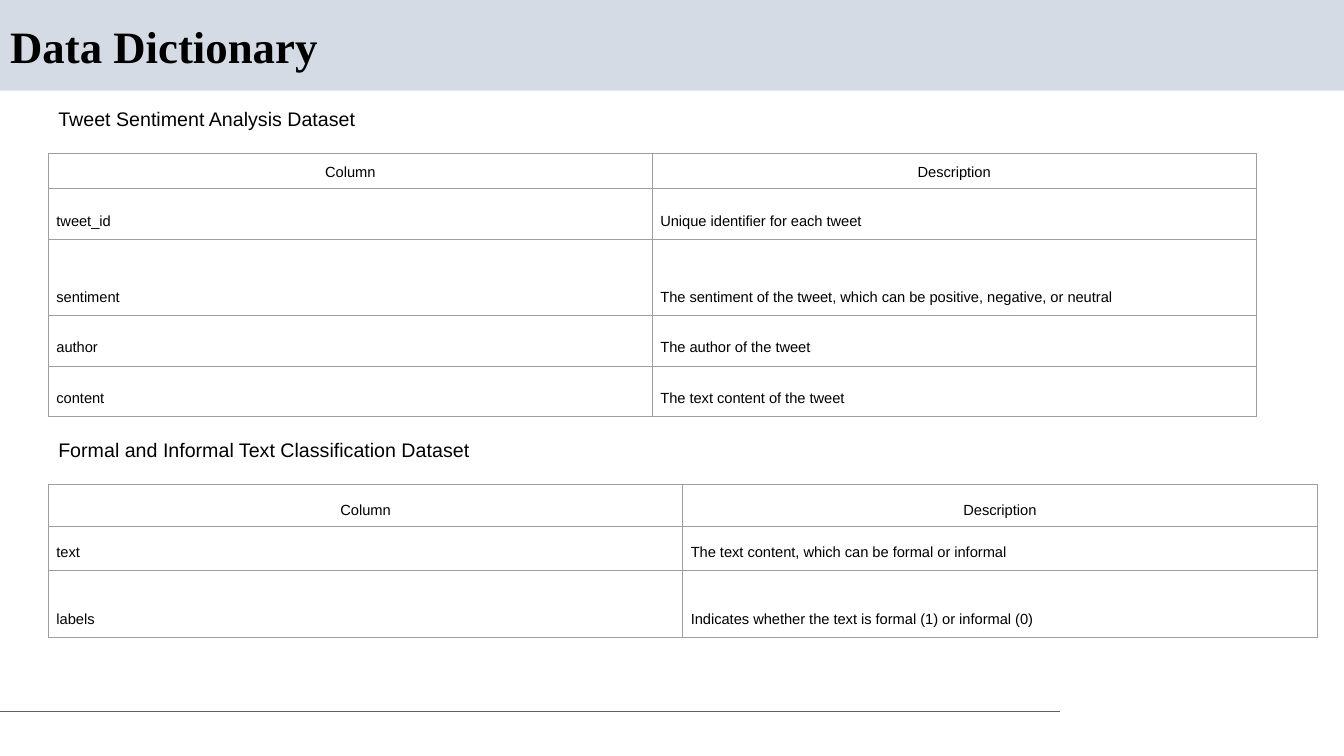
from dataclasses import dataclass

from lxml import etree
from pptx import Presentation
from pptx import util as u
from pptx.dml.color import RGBColor
from pptx.enum import shapes, text
from pptx.oxml import ns


@dataclass(frozen=True)
class Theme:
    ink: str = "000000"
    band: str = "D5DBE5"
    rule: str = "606060"
    edge: str = "9E9E9E"
    serif: str = "Times New Roman"
    sans: str = "Arial"
    head: float = 32
    label: float = 14
    cell: float = 10.5
    line: float = 0.75


class Deck:
    """Draws styled elements on one slide, placed on a 100 by 100 grid."""

    def __init__(self, theme):
        self.theme = theme
        self.file = Presentation()
        self.file.slide_width = u.Inches(13.33)
        self.file.slide_height = u.Inches(7.5)
        self.page = self.file.slides.add_slide(self.file.slide_layouts[5])

    def col(self, count):
        return round(self.file.slide_width * count / 100)

    def row(self, count):
        return round(self.file.slide_height * count / 100)

    def box(self, x, y, w, h):
        return self.col(x), self.row(y), self.col(w), self.row(h)

    def style(self, para, words, size, face, bold=False):
        para.text = words
        para.font.size = u.Pt(size)
        para.font.name = face
        para.font.bold = bold
        para.font.color.rgb = RGBColor.from_string(self.theme.ink)

    def band(self, x, y, w, h):
        bar = self.page.shapes.add_shape(
            shapes.MSO_SHAPE.RECTANGLE, *self.box(x, y, w, h))
        bar.shadow.inherit = False
        bar.fill.solid()
        bar.fill.fore_color.rgb = RGBColor.from_string(self.theme.band)
        bar.line.fill.background()

    def rule(self, x, y, end):
        line = self.page.shapes.add_connector(
            shapes.MSO_CONNECTOR.STRAIGHT,
            self.col(x), self.row(y), self.col(end), self.row(y))
        line.line.color.rgb = RGBColor.from_string(self.theme.rule)
        line.line.width = u.Pt(self.theme.line)
        etree.SubElement(line.element.spPr, ns.qn("a:effectLst"))

    def title(self, words, x, y, w, h):
        head = self.page.shapes.title
        head.left, head.top, head.width, head.height = self.box(x, y, w, h)
        head.element.getparent().append(head.element)
        frame = head.text_frame
        frame.word_wrap = True
        frame.auto_size = text.MSO_AUTO_SIZE.SHAPE_TO_FIT_TEXT
        frame.vertical_anchor = text.MSO_ANCHOR.MIDDLE
        para = frame.paragraphs[0]
        para.alignment = text.PP_ALIGN.LEFT
        para.line_spacing = 0.9
        self.style(para, words, self.theme.head, self.theme.serif, True)

    def label(self, words, x, y, w, h):
        frame = self.page.shapes.add_textbox(*self.box(x, y, w, h)).text_frame
        frame.word_wrap = True
        self.style(frame.paragraphs[0], words,
                   self.theme.label, self.theme.sans)

    def table(self, data, x, y, w, rows):
        grid = self.page.shapes.add_table(
            len(data), len(data[0]), *self.box(x, y, w, sum(rows))).table
        grid.first_row = grid.horz_banding = False
        for part in grid.columns:
            part.width = self.col(w / len(data[0]))
        for i, (words, high) in enumerate(zip(data, rows)):
            grid.rows[i].height = self.row(high)
            for j, word in enumerate(words):
                self.cell(grid.cell(i, j), word, i == 0)

    def cell(self, cell, words, top):
        cell.fill.background()
        cell.vertical_anchor = text.MSO_ANCHOR.BOTTOM
        cell.margin_left = cell.margin_right = u.Inches(0.08)
        cell.margin_top = cell.margin_bottom = u.Inches(0.08 if top else 0.1)
        para = cell.text_frame.paragraphs[0]
        para.alignment = text.PP_ALIGN.CENTER if top else text.PP_ALIGN.LEFT
        para.line_spacing = 1.07
        para.space_before = para.space_after = u.Pt(12)
        self.style(para, words, self.theme.cell, self.theme.sans)
        self.edge(cell)

    def edge(self, cell):
        props = cell._tc.get_or_add_tcPr()
        for i, side in enumerate("LRTB"):
            line = etree.Element(ns.qn(f"a:ln{side}"),
                                 w=str(u.Pt(self.theme.line)))
            fill = etree.SubElement(line, ns.qn("a:solidFill"))
            etree.SubElement(fill, ns.qn("a:srgbClr"), val=self.theme.edge)
            props.insert(i, line)


HEAD = ("Column", "Description")
TWEETS = [
    HEAD,
    ("tweet_id", "Unique identifier for each tweet"),
    ("sentiment",
     "The sentiment of the tweet, which can be positive, negative, or neutral"),
    ("author", "The author of the tweet"),
    ("content", "The text content of the tweet"),
]
FORMAL = [
    HEAD,
    ("text", "The text content, which can be formal or informal"),
    ("labels", "Indicates whether the text is formal (1) or informal (0)"),
]
SETS = [
    ("Tweet Sentiment Analysis Dataset", TWEETS, 13.47, 89.87,
     [4.67, 6.7, 10.1, 6.7, 6.7]),
    ("Formal and Informal Text Classification Dataset", FORMAL, 57.33, 94.4,
     [5.5, 5.85, 8.9]),
]


def main():
    deck = Deck(Theme())
    deck.band(0, 0, 100, 12)
    deck.rule(0, 94.13, 78.85)
    deck.title("Data Dictionary", 0, 2.53, 86.27, 7.87)
    left, high = 3.6, 6.8
    for name, data, y, wide, rows in SETS:
        deck.label(name, left, y, 46.5, high)
        deck.table(data, left, y + high, wide, rows)
    deck.file.save("out.pptx")


if __name__ == "__main__":
    main()
